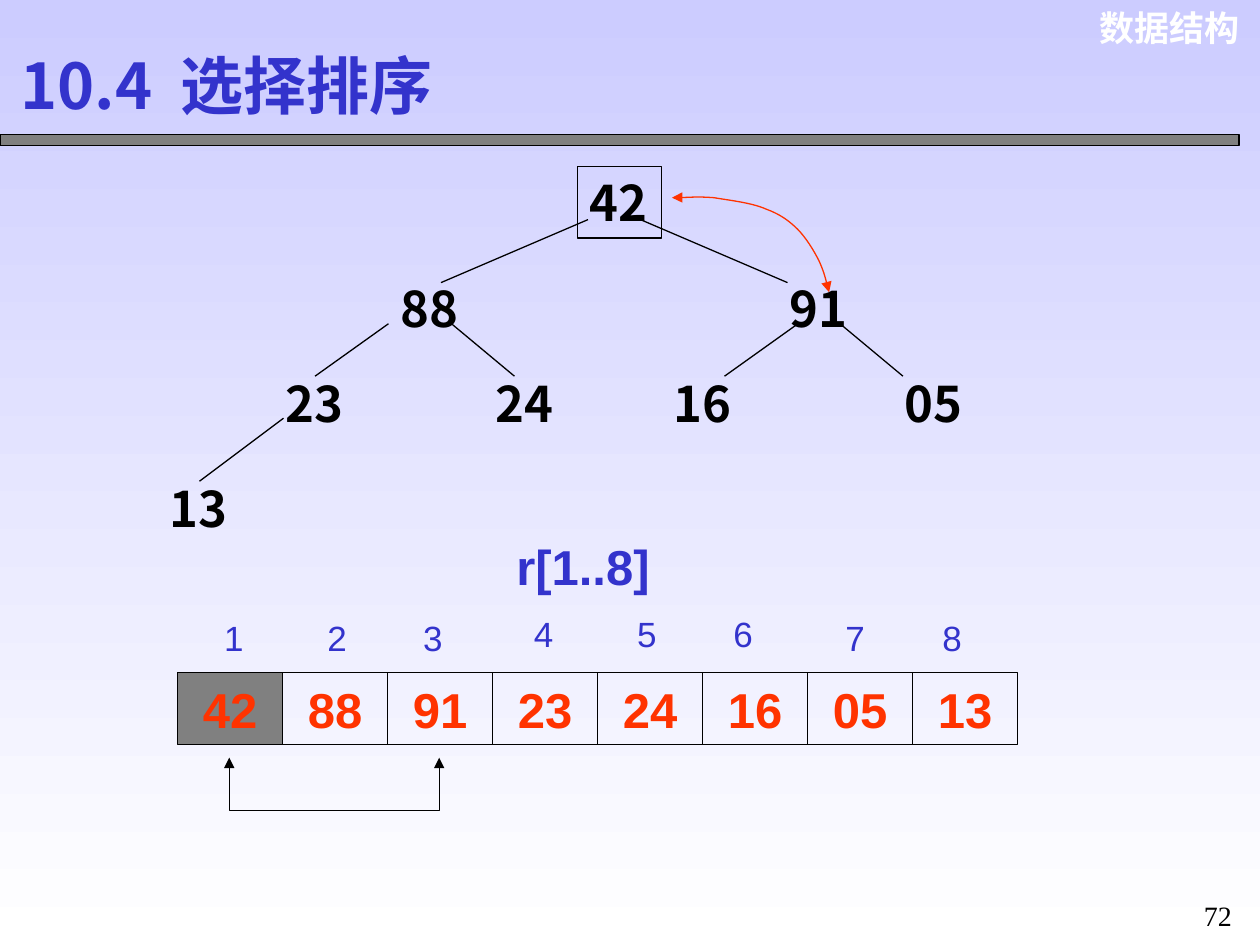
import dataclasses
import typing

import lxml.etree
import pptx
import pptx.dml.color
import pptx.enum.shapes
import pptx.enum.text
import pptx.oxml.ns
import pptx.util

Pt = pptx.util.Pt
RGBColor = pptx.dml.color.RGBColor
Align = pptx.enum.text.PP_ALIGN
Anchor = pptx.enum.text.MSO_ANCHOR
qn = pptx.oxml.ns.qn

BLACK = RGBColor(0x00, 0x00, 0x00)
WHITE = RGBColor(0xFF, 0xFF, 0xFF)
GRAY = RGBColor(0x80, 0x80, 0x80)
BLUE = RGBColor(0x33, 0x33, 0xCC)
RED = RGBColor(0xFF, 0x33, 0x00)
LAVENDER = RGBColor(0xCC, 0xCC, 0xFF)
CJK_FONT = "Noto Sans CJK SC"


class Point(typing.NamedTuple):
    x: float
    y: float


class Area(typing.NamedTuple):
    left: float
    top: float
    width: float
    height: float


class Edge(typing.NamedTuple):
    parent: Point
    child: Point


@dataclasses.dataclass(frozen=True)
class Style:
    size: float
    color: RGBColor
    font: str = "Arial"
    bold: bool = True
    align: Align = Align.LEFT
    anchor: Anchor = Anchor.TOP
    wrap: bool = True


@dataclasses.dataclass(frozen=True)
class Node:
    text: str
    left: float
    top: float
    boxed: bool = False


HEADER = Style(20, WHITE, align=Align.RIGHT)
TITLE = Style(36, BLUE, CJK_FONT, anchor=Anchor.MIDDLE)
NODE = Style(28, BLACK, CJK_FONT, anchor=Anchor.MIDDLE, wrap=False)
CELL = Style(28, RED, align=Align.CENTER, anchor=Anchor.MIDDLE)
INDEX = Style(20, BLUE, bold=False, wrap=False)
ARRAY_NAME = Style(28, BLUE)
PAGE_NUMBER = Style(16, BLACK, "Times New Roman", False, Align.CENTER)

NODES = [
    Node("42", 330, 95, True),
    Node("88", 222, 155.5),
    Node("91", 444, 155.5),
    Node("23", 156, 209.5),
    Node("24", 276, 209.5),
    Node("16", 378, 209.5),
    Node("05", 510, 209.5),
    Node("13", 90, 269.5),
]
EDGES = [
    Edge(Point(336, 125.5), Point(252, 161.5)),
    Edge(Point(366, 125.5), Point(450, 161.5)),
    Edge(Point(222, 185), Point(180, 215)),
    Edge(Point(258, 185), Point(294, 215)),
    Edge(Point(456, 185), Point(414, 215)),
    Edge(Point(480, 185), Point(516, 215)),
    Edge(Point(162, 239), Point(114, 275)),
]
INDEX_PLACES = [
    Point(121, 348.5), Point(180, 348.5), Point(234.7, 348.5), Point(298, 346.3),
    Point(357, 346.3), Point(412, 346.3), Point(476, 348.5), Point(531.4, 348.5),
]
SWAP_BRACKET = [Point(131, 433), Point(131, 463), Point(251, 463), Point(251, 433)]
SWAP_CURVE = [
    Point(384, 113),
    Point(391.7, 113), Point(398.9, 112.3), Point(408, 113),
    Point(416.9, 114.5), Point(429.8, 115.9), Point(437.8, 119.5),
    Point(445.7, 122.4), Point(450.7, 126), Point(455.8, 131),
    Point(460.8, 136.1), Point(465.1, 143.3), Point(468, 149),
    Point(470.9, 155.5), Point(472.3, 161.3), Point(473.8, 167),
]


def add_span(para, text: str, style: Style):
    span = para.add_run()
    span.text = text
    span.font.size = Pt(style.size)
    span.font.bold = style.bold
    span.font.color.rgb = style.color
    span.font.name = style.font
    properties = span._r.get_or_add_rPr()
    lxml.etree.SubElement(properties, qn("a:ea")).set("typeface", CJK_FONT)
    return span


def write(box, style: Style, *texts: str):
    frame = box.text_frame
    frame.word_wrap = style.wrap
    frame.vertical_anchor = style.anchor
    para = frame.paragraphs[0]
    para.alignment = style.align
    for text in texts:
        add_span(para, text, style)
    return para


def add_text(page, area: Area, style: Style, *texts: str):
    box = page.shapes.add_textbox(*map(Pt, area))
    return write(box, style, *texts)


def add_rectangle(page, area: Area, fill: typing.Optional[RGBColor] = None):
    box = page.shapes.add_shape(
        pptx.enum.shapes.MSO_SHAPE.RECTANGLE, *map(Pt, area))
    box.shadow.inherit = False
    if fill is None:
        box.fill.background()
    else:
        box.fill.solid()
        box.fill.fore_color.rgb = fill
    box.line.color.rgb = BLACK
    box.line.width = Pt(0.75)
    return box


def add_edge(page, edge: Edge) -> None:
    line = page.shapes.add_connector(
        pptx.enum.shapes.MSO_CONNECTOR.STRAIGHT,
        *map(Pt, edge.parent), *map(Pt, edge.child))
    line.line.color.rgb = BLACK
    line.line.width = Pt(0.75)
    lxml.etree.SubElement(line._element.spPr, qn("a:effectLst"))


def add_double_arrow(page, points: typing.List[Point], color: RGBColor):
    start, *others = [(Pt(point.x), Pt(point.y)) for point in points]
    builder = page.shapes.build_freeform(*start)
    builder.add_line_segments(others, close=False)
    arrow = builder.convert_to_shape()
    arrow.shadow.inherit = False
    arrow.fill.background()
    arrow.line.color.rgb = color
    arrow.line.width = Pt(0.75)
    outline = arrow.line._get_or_add_ln()
    for end in ("a:headEnd", "a:tailEnd"):
        lxml.etree.SubElement(outline, qn(end)).set("type", "triangle")
    return arrow


def bend(arrow) -> None:
    track = next(arrow._element.iter(qn("a:path")))
    segments = track.findall(qn("a:lnTo"))
    for first in range(0, len(segments), 3):
        curve = lxml.etree.SubElement(track, qn("a:cubicBezTo"))
        for segment in segments[first:first + 3]:
            curve.append(segment[0])
            track.remove(segment)


def main() -> None:
    deck = pptx.Presentation()
    deck.slide_width, deck.slide_height = Pt(720), Pt(540)
    page = deck.slides.add_slide(deck.slide_layouts[6])

    backdrop = page.background.fill
    backdrop.gradient()
    backdrop.gradient_angle = 270
    for stop, color in zip(backdrop.gradient_stops, (LAVENDER, WHITE)):
        stop.color.rgb = color

    add_text(page, Area(617, 0, 98.6, 31.5), HEADER, "数据结构")
    add_rectangle(page, Area(0, 77, 708, 6), GRAY)

    for node in NODES:
        area = Area(node.left, node.top, 48, 41)
        if node.boxed:
            write(add_rectangle(page, area), NODE, node.text)
        else:
            add_text(page, area, NODE, node.text)
    for edge in EDGES:
        add_edge(page, edge)

    for position, node in enumerate(NODES):
        area = Area(101.5 + 60 * position, 384.5, 60, 41)
        cell = add_rectangle(page, area, GRAY if position == 0 else None)
        write(cell, CELL, node.text)
    add_double_arrow(page, SWAP_BRACKET, BLACK)
    bend(add_double_arrow(page, SWAP_CURVE, RED))

    title = add_text(page, Area(4.5, 21, 268, 54), TITLE, "10.4", " ", "选择排序")
    title.runs[1]._r.get_or_add_rPr().set("spc", "800")
    number = add_text(page, Area(678, 504, 36, 32.5), PAGE_NUMBER, "72")
    number.line_spacing = 1.3

    for position, place in enumerate(INDEX_PLACES, start=1):
        add_text(page, Area(*place, 25, 31.5), INDEX, str(position))
    add_text(page, Area(288, 303, 204.5, 41), ARRAY_NAME, "r[1..8]")

    deck.save("out.pptx")


if __name__ == "__main__":
    main()
